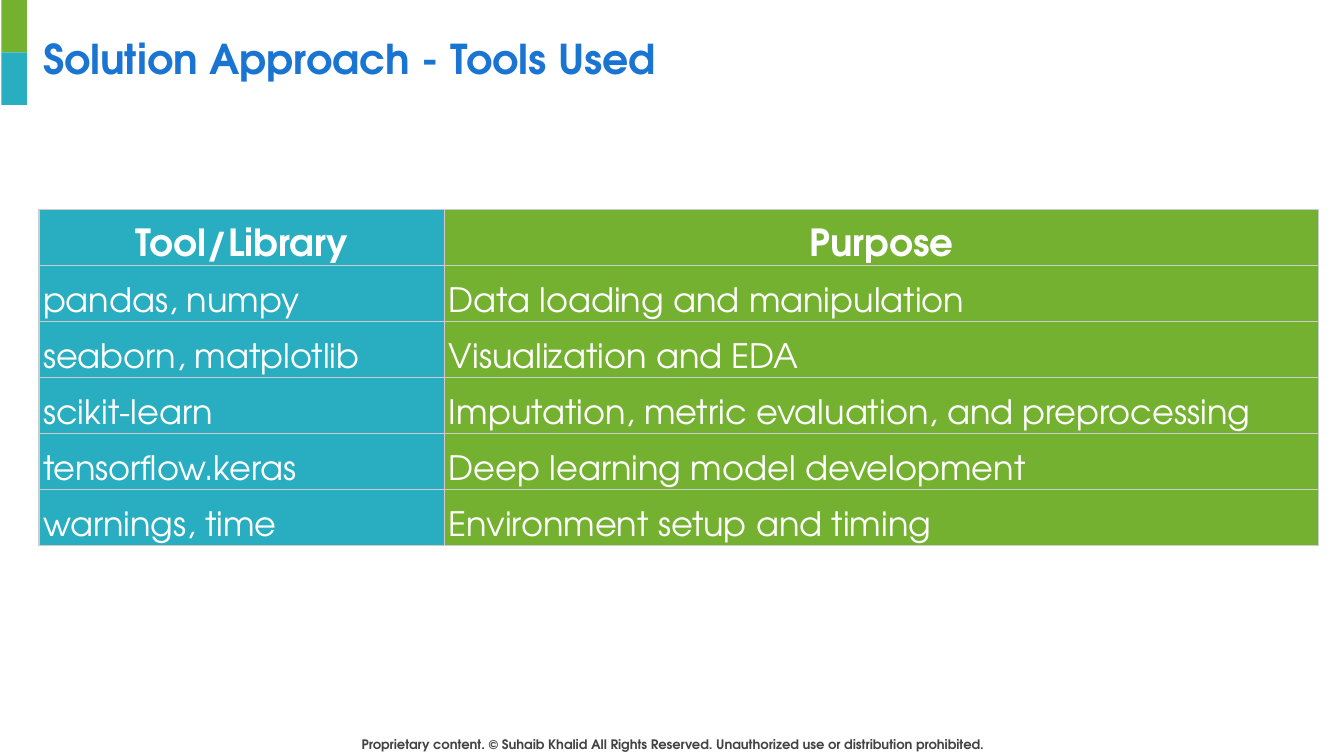
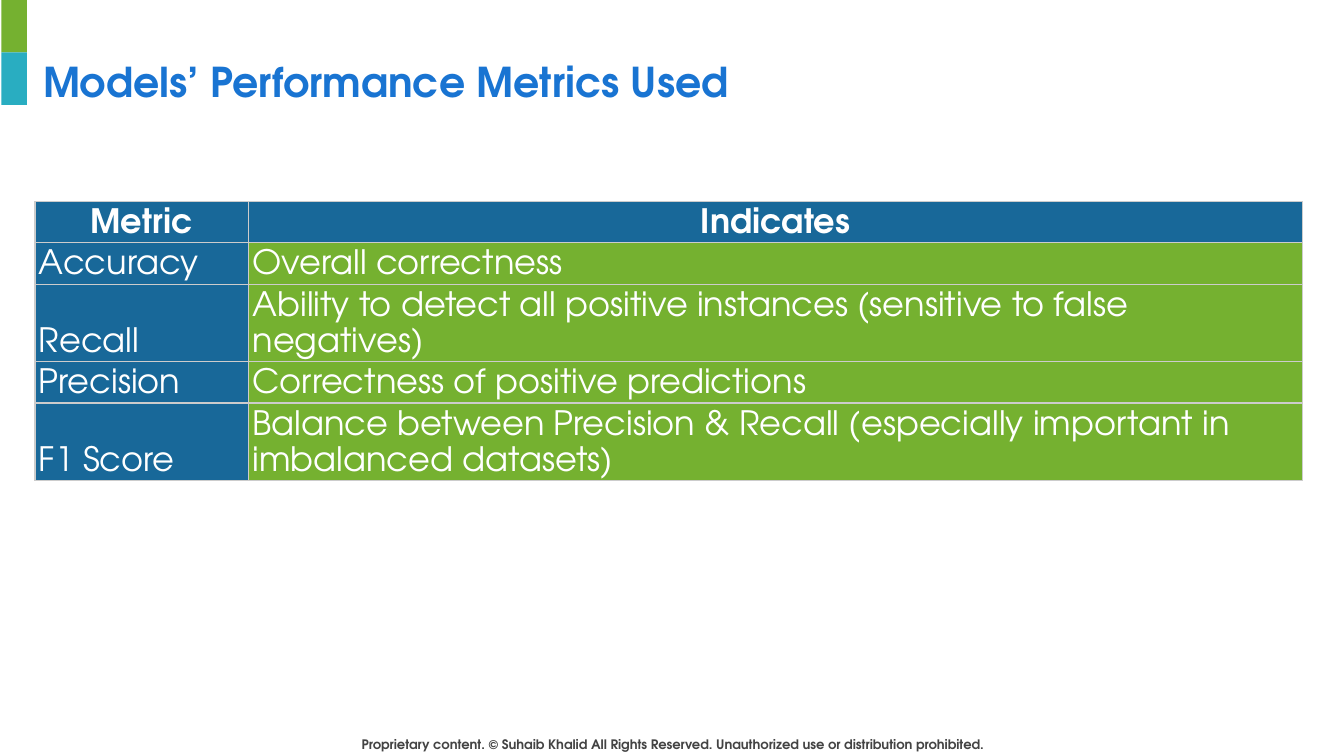
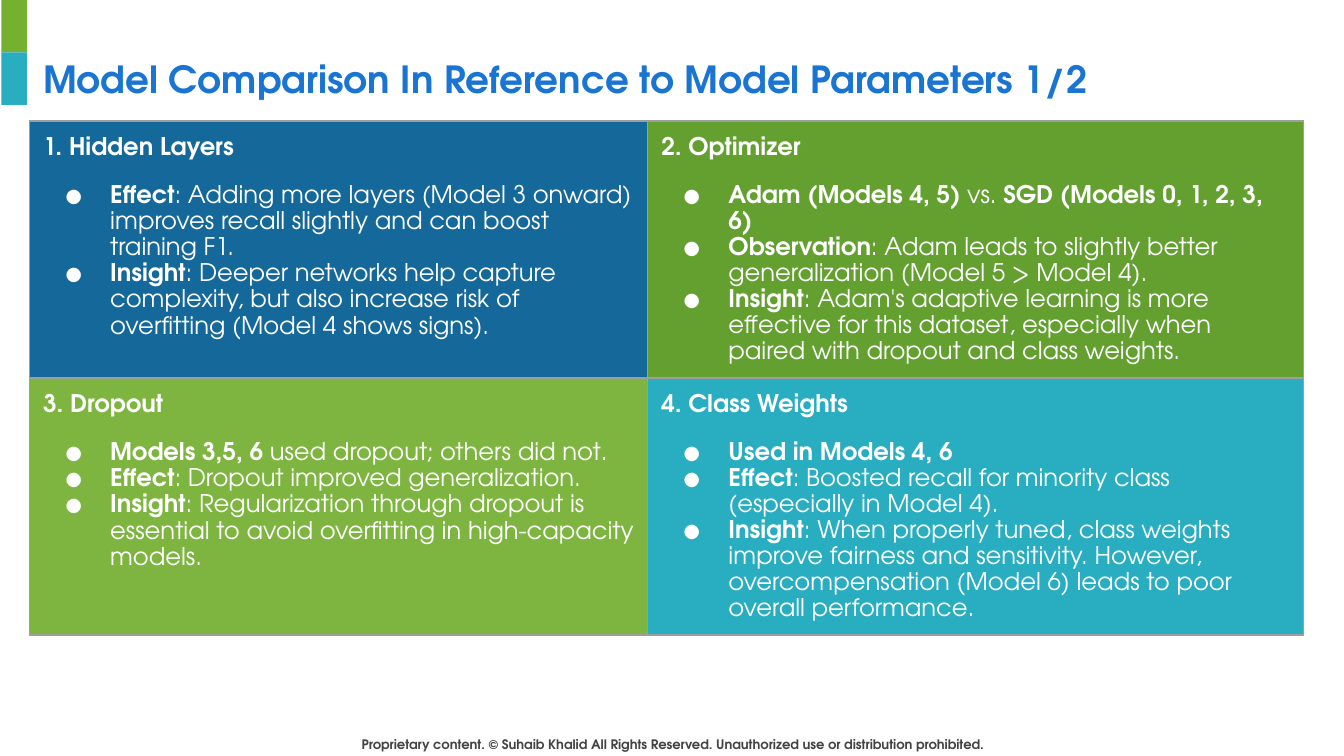
from pptx import Presentation
from pptx.dml.color import RGBColor
from pptx.enum.shapes import MSO_SHAPE
from pptx.enum.text import MSO_ANCHOR, MSO_AUTO_SIZE, PP_ALIGN
from pptx.oxml import parse_xml
from pptx.oxml.ns import nsdecls
from pptx.util import Inches, Pt

FONT = "TeX Gyre Adventor"
COLORS = {
    "title": "1974D2", "footer": "434343", "white": "FFFFFF",
    "green": "75B130", "teal": "29ADC1", "blue": "186899",
    "deep_blue": "15689A", "dark_green": "63A030", "light_green": "7EB540",
    "light_line": "CCCCCC", "gray_line": "9E9E9E",
}
FOOTER = ("Proprietary content. © Suhaib Khalid All Rights Reserved. "
          "Unauthorized use or distribution prohibited.")

TOOLS = [
    ("Tool/Library", "Purpose"),
    ("pandas, numpy", "Data loading and manipulation"),
    ("seaborn, matplotlib", "Visualization and EDA"),
    ("scikit-learn", "Imputation, metric evaluation, and preprocessing"),
    ("tensorflow.keras", "Deep learning model development"),
    ("warnings, time", "Environment setup and timing"),
]
METRICS = [
    ("Metric", "Indicates"),
    ("Accuracy", "Overall correctness"),
    ("Recall", "Ability to detect all positive instances (sensitive to false negatives)"),
    ("Precision", "Correctness of positive predictions"),
    ("F1 Score", "Balance between Precision & Recall (especially important in "
                 "imbalanced datasets)"),
]
PARAMETERS = [
    ("deep_blue", "1. Hidden Layers", [
        "**Effect**: Adding more layers (Model 3 onward) improves recall slightly "
        "and can boost training F1.",
        "**Insight**: Deeper networks help capture complexity, but also increase "
        "risk of overfitting (Model 4 shows signs)."]),
    ("dark_green", "2. Optimizer", [
        "**Adam (Models 4, 5)** vs. **SGD (Models 0, 1, 2, 3, 6)**",
        "**Observation**: Adam leads to slightly better generalization "
        "(Model 5 > Model 4).",
        "**Insight**: Adam's adaptive learning is more effective for this dataset, "
        "especially when paired with dropout and class weights."]),
    ("light_green", "3. Dropout", [
        "**Models 3,5, 6** used dropout; others did not.",
        "**Effect**: Dropout improved generalization.",
        "**Insight**: Regularization through dropout is essential to avoid "
        "overfitting in high-capacity models."]),
    ("teal", "4. Class Weights", [
        "**Used in Models 4, 6**",
        "**Effect**: Boosted recall for minority class (especially in Model 4).",
        "**Insight**: When properly tuned, class weights improve fairness and "
        "sensitivity. However, overcompensation (Model 6) leads to poor overall "
        "performance."]),
]


def rgb(name):
    return RGBColor.from_string(COLORS[name])


def add_bullet(p, size, color):
    pPr = p._p.get_or_add_pPr()
    pPr.set("marL", str(Inches(0.5)))
    pPr.set("indent", str(Inches(-0.34)))
    for tag, content in (
            ('buClr', f'><a:srgbClr val="{COLORS[color]}"/></a:buClr>'),
            ('buSzPts', f' val="{size * 100}"/>'),
            ('buFont', f' typeface="{FONT}"/>'),
            ('buChar', ' char="●"/>')):
        pPr.append(parse_xml(f'<a:{tag} {nsdecls("a")}{content}'))


def write(p, text, size=18, color="white", bold=False, align=PP_ALIGN.LEFT,
          spacing=None, before=None, bullet=False):
    """Fill a paragraph; parts between ** marks are bold."""
    if bullet:
        add_bullet(p, size, color)
    p.alignment = align
    if spacing:
        p.line_spacing = spacing
    if before:
        p.space_before = Pt(before)
    for i, part in enumerate(text.split("**")):
        if part:
            r = p.add_run()
            r.text = part
            r.font.name = FONT
            r.font.size = Pt(size)
            r.font.bold = bold or i % 2 == 1
            r.font.color.rgb = rgb(color)


def set_frame(tf):
    tf.word_wrap = True
    tf.auto_size = MSO_AUTO_SIZE.NONE
    tf.vertical_anchor = MSO_ANCHOR.TOP
    tf.margin_left = tf.margin_right = tf.margin_top = tf.margin_bottom = Inches(0.1)


def dress_layout(layout, slide):
    """Make the corner bars and footer on a slide, then move them to its layout."""
    for ph in list(layout.placeholders):
        if ph.placeholder_format.idx:
            ph.element.getparent().remove(ph.element)
    side = 0.39
    shared = []
    for i, color in enumerate(("green", "teal")):
        bar = slide.shapes.add_shape(MSO_SHAPE.RECTANGLE, Inches(0.01), Inches(i * side),
                                     Inches(0.19), Inches(side))
        bar.shadow.inherit = False
        bar.fill.solid()
        bar.fill.fore_color.rgb = rgb(color)
        bar.line.fill.background()
        shared.append(bar)
    footer = slide.shapes.add_textbox(Inches(2.45), Inches(5.38), Inches(5.11), Inches(0.3))
    set_frame(footer.text_frame)
    write(footer.text_frame.paragraphs[0], FOOTER, size=7, color="footer", bold=True,
          align=PP_ALIGN.CENTER, spacing=1.02)
    shared.append(footer)
    for sp in shared:
        layout.shapes.element.append(sp.element)


def add_title(slide, text, top=0.32, size=22):
    title = slide.shapes.title
    title.left, title.top = Inches(0.22), Inches(top)
    title.width, title.height = Inches(9.32), Inches(0.63)
    set_frame(title.text_frame)
    write(title.text_frame.paragraphs[0], text, size=size, color="title", bold=True)


def add_grid(slide, left, top, widths, row_height, rows):
    table = slide.shapes.add_table(rows, len(widths), Inches(left), Inches(top),
                                   Inches(sum(widths)), Inches(rows * row_height)).table
    for col, width in zip(table.columns, widths):
        col.width = Inches(width)
    for row in table.rows:
        row.height = Inches(row_height)
    return table


def style_cell(cell, fill, line, margin_x, margin_y, anchor):
    cell.margin_left = cell.margin_right = Inches(margin_x)
    cell.margin_top = cell.margin_bottom = Inches(margin_y)
    cell.vertical_anchor = anchor
    cell.fill.solid()
    cell.fill.fore_color.rgb = rgb(fill)
    tcPr = cell._tc.get_or_add_tcPr()
    for i, side in enumerate("LRTB"):
        tcPr.insert(i, parse_xml(
            f'<a:ln{side} {nsdecls("a")} w="{Pt(0.75)}"><a:solidFill>'
            f'<a:srgbClr val="{COLORS[line]}"/></a:solidFill></a:ln{side}>'))


def add_lookup_table(slide, left, top, widths, row_height, rows, head_fills,
                     body_fills, head_size=18):
    table = add_grid(slide, left, top, widths, row_height, len(rows))
    for r, row in enumerate(rows):
        head = r == 0
        for c, text in enumerate(row):
            cell = table.cell(r, c)
            style_cell(cell, (head_fills if head else body_fills)[c], "light_line",
                       0.03, 0.02, MSO_ANCHOR.BOTTOM)
            write(cell.text_frame.paragraphs[0], text, size=head_size if head else 18,
                  bold=head, align=PP_ALIGN.CENTER if head else PP_ALIGN.LEFT, spacing=1.15)


def add_parameter_table(slide, left, top, widths, row_height, topics):
    cols = len(widths)
    table = add_grid(slide, left, top, widths, row_height, len(topics) // cols)
    for i, (fill, heading, points) in enumerate(topics):
        cell = table.cell(*divmod(i, cols))
        style_cell(cell, fill, "gray_line", 0.1, 0.1, MSO_ANCHOR.TOP)
        tf = cell.text_frame
        write(tf.paragraphs[0], heading, size=13, bold=True, spacing=1.15)
        for j, point in enumerate(points):
            write(tf.add_paragraph(), point, size=13, spacing=1.15,
                  before=0 if j else 12, bullet=True)


def main():
    prs = Presentation()
    prs.slide_width = Inches(10)
    prs.slide_height = prs.slide_width * 9 // 16
    layout = prs.slide_layouts[5]
    tools, metrics, parameters = (prs.slides.add_slide(layout) for _ in range(3))
    dress_layout(layout, tools)

    add_title(tools, "Solution Approach - Tools Used", top=0.15)
    add_lookup_table(tools, 0.29, 1.56, (3.02, 6.5), 5 / 12, TOOLS,
                     ("teal", "green"), ("teal", "green"), head_size=20)

    add_title(metrics, "Models’ Performance Metrics Used")
    add_lookup_table(metrics, 0.26, 1.5, (1.59, 7.84), 0.22, METRICS,
                     ("blue", "blue"), ("blue", "green"))

    add_title(parameters, "Model Comparison In Reference to Model Parameters 1/2", size=20)
    add_parameter_table(parameters, 0.22, 0.9, (4.6, 4.88), 0.42, PARAMETERS)
    prs.save("out.pptx")


if __name__ == "__main__":
    main()
